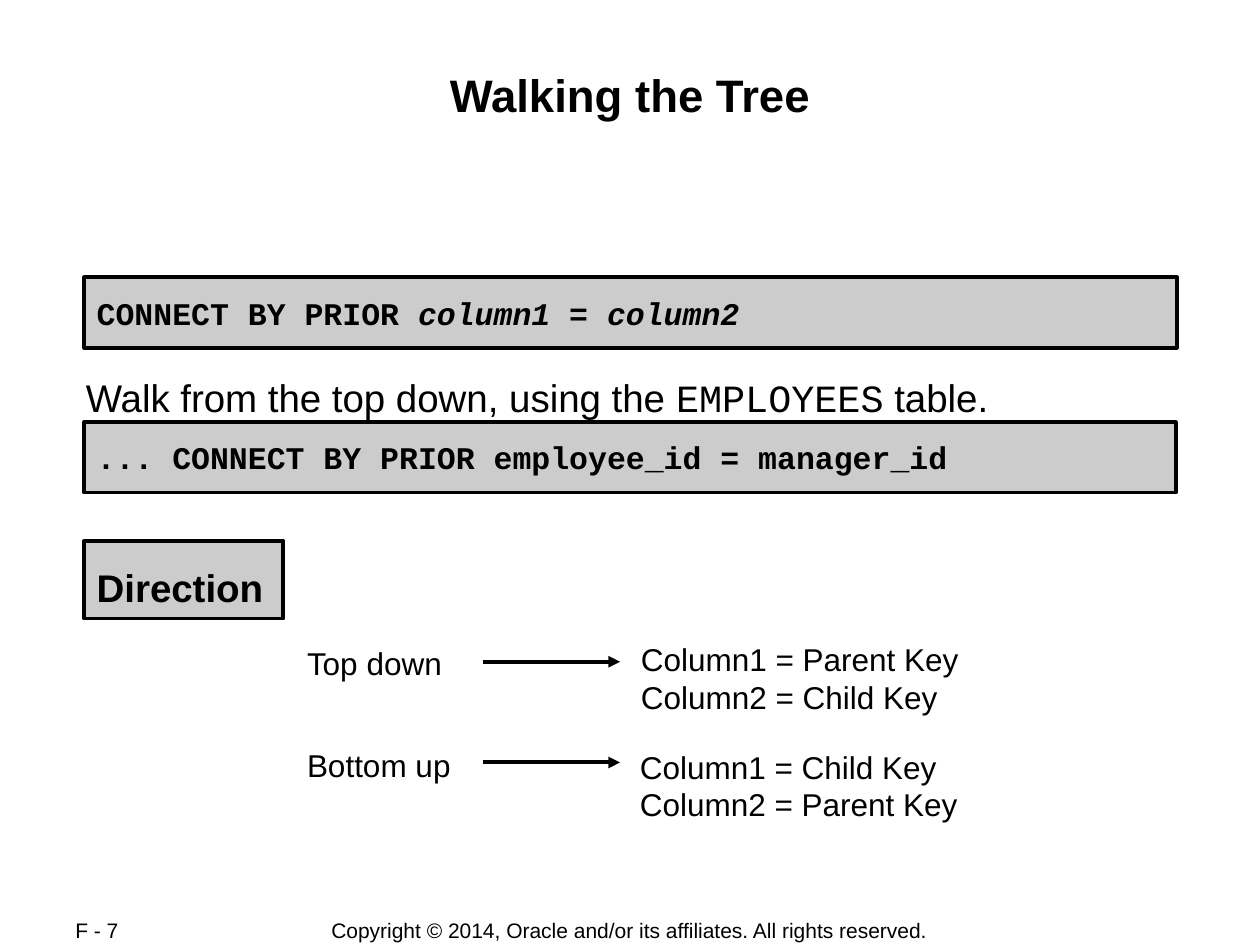
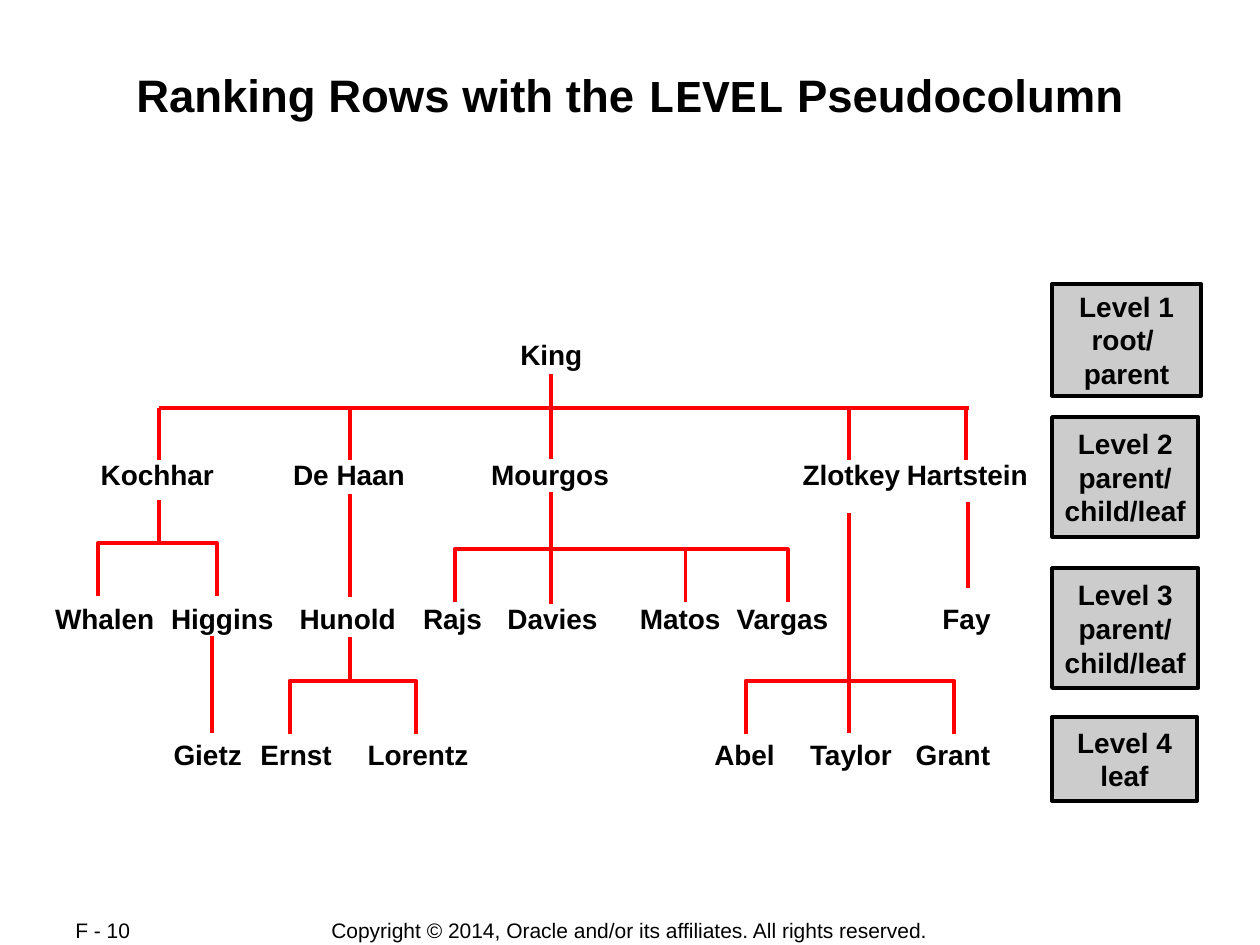
from dataclasses import dataclass
from typing import Optional

import pptx
import pptx.dml.color
import pptx.enum.shapes
import pptx.enum.text
import pptx.oxml.ns
import pptx.util
from lxml import etree

Cm = pptx.util.Cm
Pt = pptx.util.Pt
Align = pptx.enum.text.PP_ALIGN
Anchor = pptx.enum.text.MSO_ANCHOR

COLORS = {"text": "000000", "panel": "CCCCCC", "border": "000000", "branch": "FF0000"}
SANS = "Arial"
CODE = "Courier New"
LINE_WIDTH = Pt(2.25)
TITLE_ONLY, TITLE_AND_BODY = 5, 1
COPYRIGHT = "Copyright © 2014, Oracle and/or its affiliates. All rights reserved."


@dataclass(frozen=True)
class Box:
    left: float
    top: float
    width: float
    height: float

    def lengths(self) -> tuple:
        return Cm(self.left), Cm(self.top), Cm(self.width), Cm(self.height)


@dataclass(frozen=True)
class Run:
    text: str
    font: Optional[str] = None
    italic: bool = False


@dataclass(frozen=True)
class Direction:
    name: str
    name_box: Box
    arrow_y: float
    keys: str
    keys_box: Box


@dataclass(frozen=True)
class Employee:
    name: str
    left: float
    width: float


@dataclass(frozen=True)
class Stem:
    x: float
    spans: tuple


@dataclass(frozen=True)
class Bracket:
    left: float
    right: float
    top: float


@dataclass(frozen=True)
class LevelPanel:
    text: str
    box: Box


TITLE_BOX = Box(1.7, 1.32, 22, 2.34)
BODY_BOX = Box(1.7, 7.5, 22, 0.95)
COPYRIGHT_BOX = Box(6.99, 18.49, 11.4, 0.53)
PAGE_BOX = Box(1.27, 18.49, 2.69, 0.51)

DIRECTIONS = (
    Direction("Top down", Box(5.94, 12.85, 3.96, 1.02), 13.34,
              "Column1 = Parent Key\nColumn2 = Child Key", Box(12.67, 12.78, 6.91, 1.78)),
    Direction("Bottom up", Box(5.94, 14.91, 3.58, 1.02), 15.37,
              "Column1 = Child Key\nColumn2 = Parent Key", Box(12.65, 14.94, 6.91, 1.78)),
)
ARROW_START, ARROW_END = 9.73, 12.5

EMPLOYEE_HEIGHT = 0.94
EMPLOYEES = {
    6.68: (Employee("King", 10.24, 1.75),),
    9.09: (
        Employee("Kochhar", 1.78, 2.79),
        Employee("De Haan", 5.66, 2.77),
        Employee("Mourgos", 9.65, 2.9),
        Employee("Zlotkey", 15.93, 2.49),
        Employee("Hartstein", 18.03, 2.95),
    ),
    11.99: (
        Employee("Whalen", 0.86, 2.51),
        Employee("Higgins", 3.2, 2.57),
        Employee("Hunold", 5.79, 2.46),
        Employee("Rajs", 8.28, 1.7),
        Employee("Davies", 9.98, 2.34),
        Employee("Matos", 12.65, 2.13),
        Employee("Vargas", 14.6, 2.39),
        Employee("Fay", 18.75, 1.65),
    ),
    14.73: (
        Employee("Gietz", 3.25, 1.88),
        Employee("Ernst", 5, 1.96),
        Employee("Lorentz", 7.16, 2.54),
        Employee("Abel", 14.15, 1.73),
        Employee("Taylor", 16.08, 2.21),
        Employee("Grant", 18.21, 2.01),
    ),
}

TRUNK_Y = 8.23
TRUNK_PARTS = ((3.2, 13.23), (13.21, 19.53))
TO_MANAGER = (TRUNK_Y, 9.27)
STEMS = (
    Stem(3.2, (TO_MANAGER, (10.08, 10.95))),
    Stem(4.27, ((12.83, 14.78),)),
    Stem(7.06, (TO_MANAGER, (9.96, 12.04), (12.85, 13.72))),
    Stem(11.1, ((7.54, 8.38), (8.38, 9.25), (9.91, 11.18), (11.1, 12.17))),
    Stem(17.12, (TO_MANAGER, (10.34, 13.72), (13.72, 14.78))),
    Stem(19.48, (TO_MANAGER,)),
    Stem(19.51, ((10.11, 11.86),)),
)
BRACKET_DROP = 1.07
BRACKETS = (
    Bracket(1.98, 4.37, 10.95),
    Bracket(9.17, 13.82, 11.07),
    Bracket(13.82, 15.88, 11.07),
    Bracket(5.84, 8.38, 13.72),
    Bracket(15.04, 19.23, 13.72),
)
LEVELS = (
    LevelPanel("Level 1\nroot/ \nparent", Box(21.21, 5.72, 3, 2.26)),
    LevelPanel("Level 2\nparent/\nchild/leaf", Box(21.21, 8.41, 2.95, 2.41)),
    LevelPanel("Level 3\nparent/\nchild/leaf", Box(21.21, 11.46, 2.95, 2.41)),
    LevelPanel("Level 4\nleaf", Box(21.21, 14.45, 2.92, 1.7)),
)


def color(name: str):
    return pptx.dml.color.RGBColor.from_string(COLORS[name])


def write_text(frame, text, *, size: float, font: str = SANS, bold: bool = False,
               align=Align.LEFT, anchor=Anchor.TOP, wrap: bool = True,
               inset: tuple = (0.25, 0.13), line_spacing: Optional[float] = None) -> None:
    frame.auto_size = pptx.enum.text.MSO_AUTO_SIZE.NONE
    frame.word_wrap = wrap
    frame.vertical_anchor = anchor
    frame.margin_left = frame.margin_right = Cm(inset[0])
    frame.margin_top = frame.margin_bottom = Cm(inset[1])
    lines = [(Run(line),) for line in text.split("\n")] if isinstance(text, str) else [text]
    for index, runs in enumerate(lines):
        paragraph = frame.add_paragraph() if index else frame.paragraphs[0]
        paragraph.alignment = align
        paragraph.space_before = Pt(0)
        if line_spacing:
            paragraph.line_spacing = line_spacing
        for part in runs:
            run = paragraph.add_run()
            run.text = part.text
            run.font.name = part.font or font
            run.font.size = Pt(size)
            run.font.bold = bold
            run.font.italic = part.italic
            run.font.color.rgb = color("text")


def add_label(slide, box: Box, text, **text_format) -> None:
    write_text(slide.shapes.add_textbox(*box.lengths()).text_frame, text, **text_format)


def add_panel(slide, box: Box, text, **text_format):
    panel = slide.shapes.add_shape(pptx.enum.shapes.MSO_SHAPE.RECTANGLE, *box.lengths())
    panel.shadow.inherit = False
    panel.fill.solid()
    panel.fill.fore_color.rgb = color("panel")
    panel.line.color.rgb = color("border")
    panel.line.width = LINE_WIDTH
    write_text(panel.text_frame, text, bold=True, anchor=Anchor.MIDDLE, **text_format)
    return panel


def add_line(slide, start: tuple, end: tuple, line_color: str, arrow: bool = False) -> None:
    line = slide.shapes.add_connector(
        pptx.enum.shapes.MSO_CONNECTOR.STRAIGHT, *map(Cm, start + end))
    line.line.color.rgb = color(line_color)
    line.line.width = LINE_WIDTH
    if arrow:
        etree.SubElement(line.line._get_or_add_ln(), pptx.oxml.ns.qn("a:tailEnd"), type="triangle")
    etree.SubElement(line._element.spPr, pptx.oxml.ns.qn("a:effectLst"))


def add_bracket(slide, bracket: Bracket) -> None:
    bottom = bracket.top + BRACKET_DROP
    corners = ((bracket.left, bracket.top), (bracket.right, bracket.top), (bracket.right, bottom))
    builder = slide.shapes.build_freeform(Cm(bracket.left), Cm(bottom))
    builder.add_line_segments([(Cm(x), Cm(y)) for x, y in corners], close=False)
    outline = builder.convert_to_shape()
    outline.shadow.inherit = False
    outline.fill.background()
    outline.line.color.rgb = color("branch")
    outline.line.width = LINE_WIDTH


def place(placeholder, box: Box) -> None:
    placeholder.left, placeholder.top, placeholder.width, placeholder.height = box.lengths()


def add_page(deck, layout: int, title, page: str):
    slide = deck.slides.add_slide(deck.slide_layouts[layout])
    add_label(slide, COPYRIGHT_BOX, COPYRIGHT, size=12, align=Align.CENTER,
              anchor=Anchor.MIDDLE, wrap=False)
    add_label(slide, PAGE_BOX, page, size=12, anchor=Anchor.MIDDLE)
    place(slide.shapes.title, TITLE_BOX)
    write_text(slide.shapes.title.text_frame, title, size=26, bold=True,
               align=Align.CENTER, inset=(0.03, 0.03))
    return slide


def build_walking_slide(deck) -> None:
    slide = add_page(deck, TITLE_AND_BODY, "Walking the Tree", "F - 7")
    body = slide.placeholders[1]
    place(body, BODY_BOX)
    properties = body.text_frame.paragraphs[0]._p.get_or_add_pPr()
    properties.set("marL", "0")
    properties.set("indent", "0")
    etree.SubElement(properties, pptx.oxml.ns.qn("a:buNone"))
    write_text(body.text_frame,
               (Run("Walk from the top down, using the "), Run("EMPLOYEES", CODE), Run(" table.")),
               size=22, inset=(0.03, 0.03))

    direction_panel = add_panel(slide, Box(1.7, 10.9, 4.01, 1.57), "Direction",
                                size=22, line_spacing=1.2)
    direction_panel.text_frame.margin_top = Cm(0.25)
    for direction in DIRECTIONS:
        add_label(slide, direction.name_box, direction.name, size=18)
        add_line(slide, (ARROW_START, direction.arrow_y), (ARROW_END, direction.arrow_y),
                 "border", arrow=True)
        add_label(slide, direction.keys_box, direction.keys, size=18, wrap=False)

    syntax = (Run("CONNECT BY PRIOR "), Run("column1", italic=True), Run(" = "),
              Run("column2", italic=True))
    add_panel(slide, Box(1.7, 5.59, 22.02, 1.42), syntax, size=18, font=CODE)
    add_panel(slide, Box(1.7, 8.51, 22, 1.42),
              "... CONNECT BY PRIOR employee_id = manager_id", size=18, font=CODE)


def build_ranking_slide(deck) -> None:
    title = (Run("Ranking Rows with the "), Run("LEVEL", CODE), Run(" Pseudocolumn"))
    slide = add_page(deck, TITLE_ONLY, title, "F - 10")
    for level in LEVELS:
        add_panel(slide, level.box, level.text, size=16, align=Align.CENTER, wrap=False)
    for left, right in TRUNK_PARTS:
        add_line(slide, (left, TRUNK_Y), (right, TRUNK_Y), "branch")
    for stem in STEMS:
        for top, bottom in stem.spans:
            add_line(slide, (stem.x, top), (stem.x, bottom), "branch")
    for bracket in BRACKETS:
        add_bracket(slide, bracket)
    for top, employees in EMPLOYEES.items():
        for employee in employees:
            add_label(slide, Box(employee.left, top, employee.width, EMPLOYEE_HEIGHT),
                      employee.name, size=16, bold=True, wrap=False)


def main() -> None:
    deck = pptx.Presentation()
    deck.slide_width, deck.slide_height = Cm(25.4), Cm(19.05)
    build_walking_slide(deck)
    build_ranking_slide(deck)
    deck.save("out.pptx")


if __name__ == "__main__":
    main()
